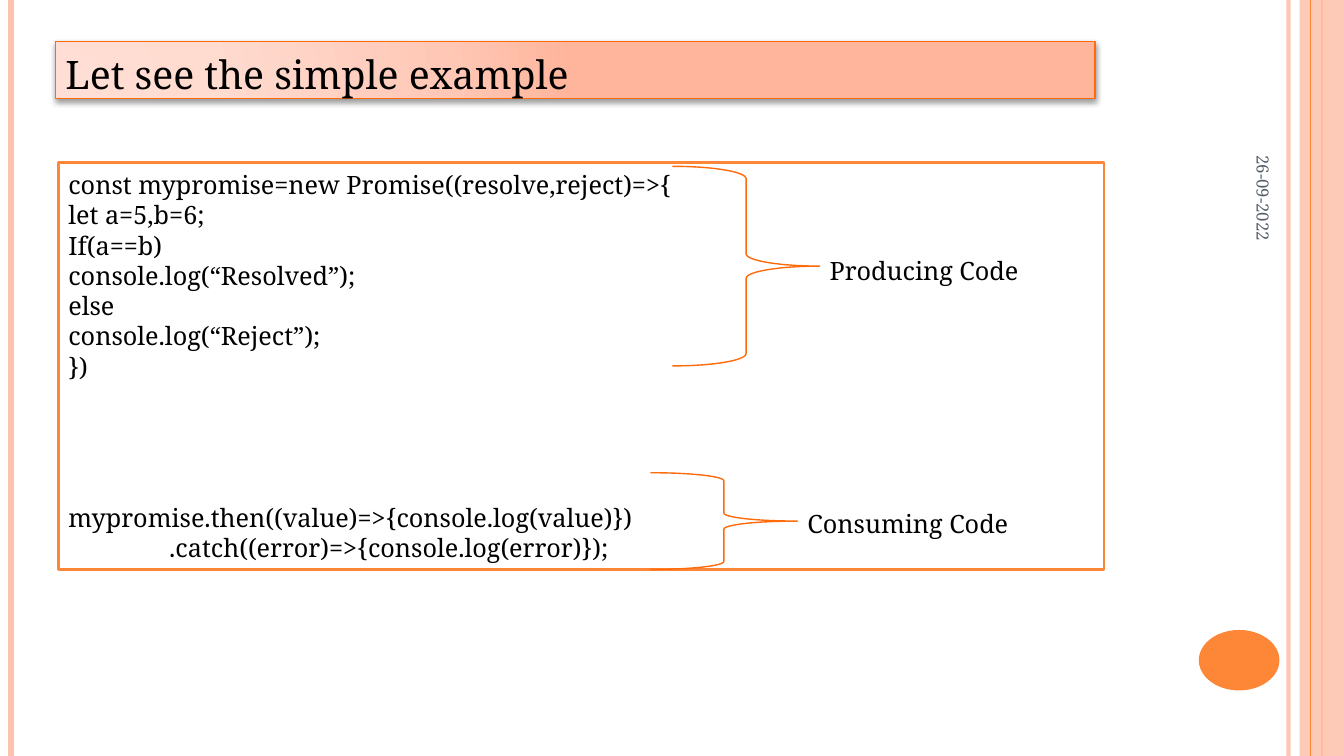
from dataclasses import dataclass

from lxml.etree import SubElement
from pptx import Presentation
from pptx.dml.color import RGBColor
from pptx.enum.shapes import MSO_CONNECTOR, MSO_SHAPE
from pptx.enum.text import MSO_ANCHOR, PP_ALIGN
from pptx.oxml import parse_xml
from pptx.oxml.ns import nsdecls, qn
from pptx.util import Inches, Pt


@dataclass(frozen=True)
class Theme:
    """Colours, font and type sizes of the slide."""
    accent: str = "FE8637"
    outline: str = "FF6B0A"
    pale: str = "FEC3AE"
    paper: str = "FFFFFF"
    ink: str = "000000"
    muted: str = "575F6D"
    font: str = "Noto Serif"
    title_size: int = 28
    body_size: int = 18
    date_size: int = 12
    line_pitch: float = 1.2
    top_lift: float = 0.09
    title_gradient: tuple = ((0, "FFDED5"), (30, "FFDBD0"), (75, "FFC8B6"), (100, "FFB59B"))


def apply_format(target, values):
    """Set each attribute of target from a dict of format values."""
    for name, value in values.items():
        setattr(target, name, value)


def set_alpha(properties, percent):
    """Make the first solid colour below properties partly transparent."""
    color = next(properties.iter(qn("a:srgbClr")))
    SubElement(color, qn("a:alpha")).set("val", str(percent * 1000))


class SlideBuilder:
    """Holds the theme and the current slide, and draws its elements."""

    def __init__(self, slide, theme):
        """Keep the slide and its theme."""
        self.slide = slide
        self.theme = theme

    def rule(self, x, color, width, alpha=100):
        """Draw a vertical line over the full slide height."""
        line = self.slide.shapes.add_connector(
            MSO_CONNECTOR.STRAIGHT, Inches(x), 0, Inches(x), Inches(7.5))
        line.line.color.rgb = RGBColor.from_string(color)
        line.line.width = Pt(width)
        properties = line._element.spPr
        SubElement(properties, qn("a:effectLst"))
        if alpha < 100:
            set_alpha(properties, alpha)

    def shape(self, kind, box, fill=None, line=None, width=1, alpha=100):
        """Draw a preset shape without shadow."""
        shape = self.slide.shapes.add_shape(kind, *map(Inches, box))
        shape.shadow.inherit = False
        if fill:
            shape.fill.solid()
            shape.fill.fore_color.rgb = RGBColor.from_string(fill)
            if alpha < 100:
                set_alpha(shape._element.spPr, alpha)
        else:
            shape.fill.background()
        if line:
            shape.line.color.rgb = RGBColor.from_string(line)
            shape.line.width = Pt(width)
        else:
            shape.line.fill.background()
        return shape

    def add_lines(self, shape, lines, size):
        """Add top-anchored lines at a fixed pitch and return the paragraphs."""
        frame = shape.text_frame
        apply_format(frame, {
            "word_wrap": True, "vertical_anchor": MSO_ANCHOR.TOP,
            "margin_top": Pt(3.6 + self.theme.top_lift * size), "margin_bottom": 0})
        frame.text = "\n".join(lines)
        for paragraph in frame.paragraphs:
            apply_format(paragraph, {
                "alignment": PP_ALIGN.LEFT,
                "line_spacing": Pt(self.theme.line_pitch * size)})
            self.style(paragraph, size, self.theme.ink)
        return frame.paragraphs

    def style(self, paragraph, size, color):
        """Give the runs of a paragraph the theme font."""
        for run in paragraph.runs:
            apply_format(run.font, {"name": self.theme.font, "size": Pt(size)})
            run.font.color.rgb = RGBColor.from_string(color)

    def title(self, text, box):
        """Draw the title bar with its gradient and soft shadow."""
        bar = self.shape(MSO_SHAPE.RECTANGLE, box, self.theme.pale, self.theme.outline)
        properties = bar._element.spPr
        stops = "".join(
            f'<a:gs pos="{position * 1000}"><a:srgbClr val="{color}"/></a:gs>'
            for position, color in self.theme.title_gradient)
        gradient = parse_xml(
            f'<a:gradFill {nsdecls("a")} rotWithShape="1"><a:gsLst>{stops}</a:gsLst>'
            '<a:path path="circle"><a:fillToRect l="5000" t="100000" r="120000" b="10000"/>'
            '</a:path></a:gradFill>')
        properties.replace(properties.find(qn("a:solidFill")), gradient)
        shadow = parse_xml(
            f'<a:effectLst {nsdecls("a")}><a:outerShdw blurRad="{Pt(4)}" dist="{Pt(2)}" '
            'dir="5400000" rotWithShape="0"><a:srgbClr val="000000"><a:alpha val="40000"/>'
            '</a:srgbClr></a:outerShdw></a:effectLst>')
        properties.replace(properties.find(qn("a:effectLst")), shadow)
        self.add_lines(bar, [text], self.theme.title_size)

    def code_box(self, producing, consuming, box):
        """Draw the framed code, its two parts set apart by paragraph spacing."""
        size = self.theme.body_size
        frame = self.shape(MSO_SHAPE.RECTANGLE, box, self.theme.paper, self.theme.accent, 2)
        paragraphs = self.add_lines(frame, producing + consuming, size)
        paragraphs[len(producing)].space_before = Pt(4 * self.theme.line_pitch * size)
        paragraphs[-1]._p.get_or_add_pPr().set("marL", str(Inches(1)))

    def brace(self, text, left, top, height, label_top):
        """Draw a right brace with its label at the tip."""
        width = 1.46
        self.shape(MSO_SHAPE.RIGHT_BRACE, (left, top, width, height), line=self.theme.outline)
        label = self.slide.shapes.add_textbox(
            *map(Inches, (left + width, label_top, 3.25, 0.4)))
        self.add_lines(label, [text], self.theme.body_size)

    def date(self, text, box):
        """Add the date turned a quarter clockwise."""
        label = self.slide.shapes.add_textbox(*map(Inches, box))
        label.rotation = 90
        apply_format(label.text_frame, {
            "word_wrap": True, "vertical_anchor": MSO_ANCHOR.MIDDLE, "text": text})
        paragraph = label.text_frame.paragraphs[0]
        paragraph.alignment = PP_ALIGN.RIGHT
        self.style(paragraph, self.theme.date_size, self.theme.muted)


PRODUCING_CODE = [
    "const mypromise=new Promise((resolve,reject)=>{",
    "let a=5,b=6;",
    "If(a==b)",
    "console.log(“Resolved”);",
    "else",
    "console.log(“Reject”);",
    "})",
]
CONSUMING_CODE = [
    "mypromise.then((value)=>{console.log(value)})",
    ".catch((error)=>{console.log(error)});",
]


def main():
    """Build the slide and save it."""
    presentation = Presentation()
    apply_format(presentation, {"slide_width": Inches(13.33), "slide_height": Inches(7.5)})
    theme = Theme()
    builder = SlideBuilder(
        presentation.slides.add_slide(presentation.slide_layouts[6]), theme)

    builder.rule(12.78, theme.pale, 3, alpha=93)
    builder.rule(0.11, theme.pale, 4.5)
    builder.rule(13.11, theme.accent, 1.5)
    builder.shape(MSO_SHAPE.RECTANGLE, (12.89, 0, 0.44, 7.5), theme.pale, alpha=87)
    builder.rule(13, theme.accent, 0.75)
    builder.shape(MSO_SHAPE.OVAL, (11.89, 6.25, 0.8, 0.6), theme.accent)

    builder.code_box(PRODUCING_CODE, CONSUMING_CODE, (0.58, 1.61, 10.37, 4.04))
    builder.title("Let see the simple example", (0.55, 0.41, 10.31, 0.57))
    builder.brace("Producing Code", 6.67, 1.65, 1.98, 2.46)
    builder.brace("Consuming Code", 6.45, 4.69, 0.96, 4.97)
    builder.date("26-09-2022", (11.43, 1.11, 2.2, 0.56))
    presentation.save("out.pptx")


main()
